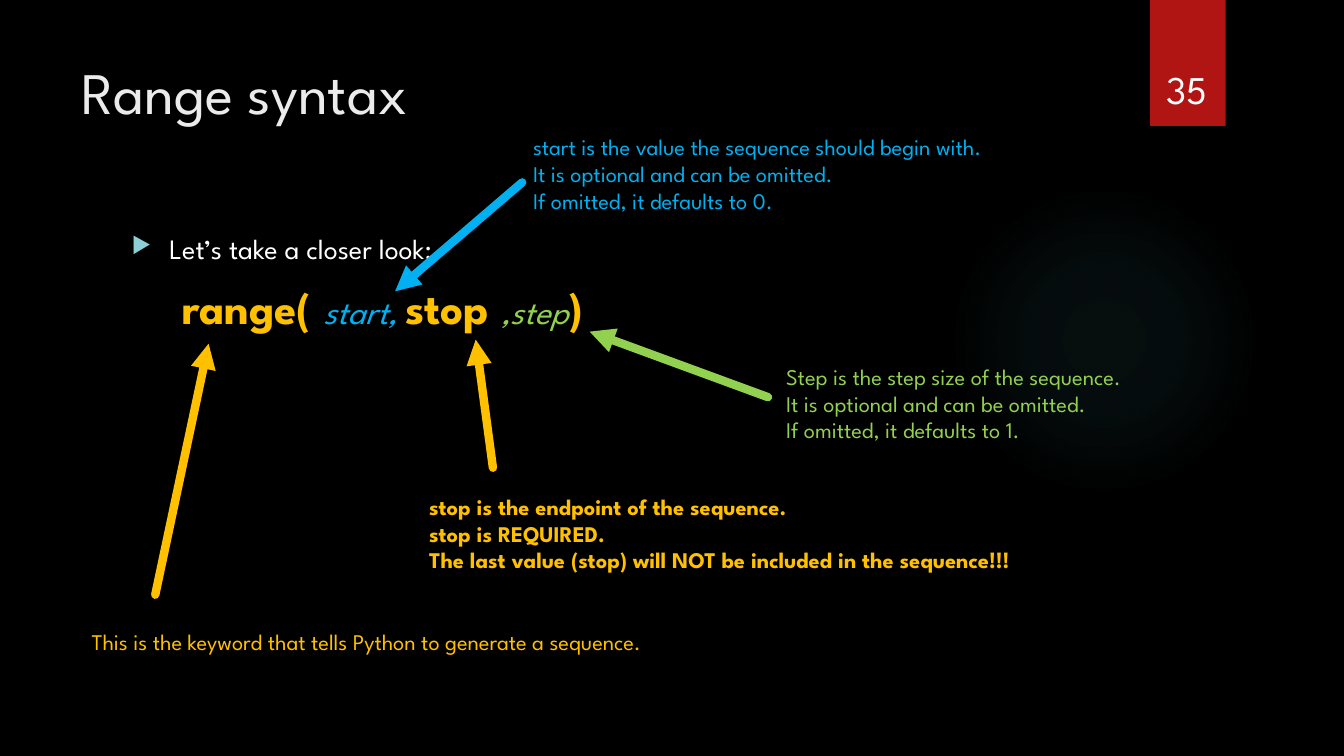
from lxml import etree
from pptx import Presentation
from pptx.dml.color import RGBColor
from pptx.enum import shapes, text
from pptx.oxml import ns, parse_xml
from pptx.util import Pt

FONT = "League Spartan"
HEX = {"black": "000000", "red": "B01513", "teal": "50B9C1", "mint": "8AD0D6",
       "pale": "EBEBEB", "white": "FFFFFF", "gold": "FFC000",
       "blue": "00B0F0", "green": "92D050"}
NS = 'xmlns:a="http://schemas.openxmlformats.org/drawingml/2006/main"'


def rgb(name):
    return RGBColor.from_string(HEX[name])


def style(font, size, color, bold=False, italic=False):
    font.name, font.size = FONT, Pt(size)
    font.bold, font.italic = bold, italic
    font.color.rgb = rgb(color)


def label(slide, box, lines, size, color, bold=False):
    """Add a wrapped text box with one paragraph per line; return its frame."""
    frame = slide.shapes.add_textbox(*map(Pt, box)).text_frame
    frame.word_wrap = True
    for i, line in enumerate(lines):
        par = frame.add_paragraph() if i else frame.paragraphs[0]
        par.text = line
        style(par.font, size, color, bold)
    return frame


def plain(slide, kind, box):
    shape = slide.shapes.add_shape(kind, *map(Pt, box))
    shape.shadow.inherit = False
    shape.line.fill.background()
    return shape


def glow(slide, box):
    """Add a faint round light that fades out towards its edge."""
    shape = plain(slide, shapes.MSO_SHAPE.OVAL, box)
    stops = "".join(
        f'<a:gs pos="{pos}000"><a:srgbClr val="{HEX["teal"]}">'
        f'<a:alpha val="{alpha}000"/></a:srgbClr></a:gs>'
        for pos, alpha in ((0, 7), (36, 6), (69, 0)))
    fill = parse_xml(
        f'<a:gradFill {NS}><a:gsLst>{stops}</a:gsLst><a:path path="circle">'
        '<a:fillToRect l="50000" t="50000" r="50000" b="50000"/>'
        '</a:path></a:gradFill>')
    shape.element.spPr.find(ns.qn("a:prstGeom")).addnext(fill)


def badge(slide, box, number):
    """Add the red page tab with its number near the lower edge."""
    left, top, width, height = box
    tab = plain(slide, shapes.MSO_SHAPE.RECTANGLE, box)
    tab.fill.solid()
    tab.fill.fore_color.rgb = rgb("red")
    area = (left - 6.5, top + 23, width + 12, height - 29.5)
    frame = label(slide, area, [number], 28, "white")
    frame.vertical_anchor = text.MSO_ANCHOR.BOTTOM
    frame.paragraphs[0].alignment = text.PP_ALIGN.CENTER


def syntax(slide, box):
    """Add the bulleted lead-in and the coloured call below it."""
    frame = label(slide, box, ["Let’s take a closer look:"], 20, "white")
    lead = frame.paragraphs[0]
    call = frame.add_paragraph()
    lead.space_before = call.space_before = Pt(10)
    props = lead._p.get_or_add_pPr()
    props.set("marL", str(Pt(27)))
    props.set("indent", str(-Pt(27)))
    for bit in (f'<a:buClr {NS}><a:srgbClr val="{HEX["mint"]}"/></a:buClr>',
                f'<a:buSzPct {NS} val="80000"/>',
                f'<a:buChar {NS} char="▶"/>'):
        mark = parse_xml(bit)
        props.insert_element_before(mark, "a:tabLst", "a:defRPr", "a:extLst")
    call._p.get_or_add_pPr().set("marL", str(Pt(36)))
    for word, color, main in (("range( ", "gold", True),
                              ("start, ", "blue", False),
                              ("stop ", "gold", True),
                              (",step", "green", False),
                              (")", "gold", True)):
        run = call.add_run()
        run.text = word
        style(run.font, 32 if main else 24, color, main, not main)


def arrow(slide, start, end, color):
    line = slide.shapes.add_connector(
        shapes.MSO_CONNECTOR.STRAIGHT, *map(Pt, start + end))
    line.line.width = Pt(6)
    line.line.color.rgb = rgb(color)
    stroke = line.line._get_or_add_ln()
    stroke.set("cap", "rnd")
    etree.SubElement(stroke, ns.qn("a:tailEnd"), type="triangle")
    etree.SubElement(line.element.spPr, ns.qn("a:effectLst"))


def note(slide, box, lines, color, start, end, bold=False):
    """Add an explanation and the arrow from it to a part of the call."""
    arrow(slide, start, end, color)
    label(slide, box, lines, 16, color, bold)


def build(slide):
    slide.background.fill.solid()
    slide.background.fill.fore_color.rgb = rgb("black")
    glow(slide, (677.5, 131.8, 221.8, 221.8))
    badge(slide, (821.5, 0, 54, 90), "35")
    label(slide, (51, 36, 741, 110), ["Range syntax"], 42, "pale")
    syntax(slide, (87, 162, 704, 330))
    option = "It is optional and can be omitted."
    note(slide, (58.3, 445, 482, 26.6),
         ["This is the keyword that tells Python to generate a sequence."],
         "gold", (110.9, 424.8), (149, 245.5))
    note(slide, (373.7, 91.4, 401, 65.5),
         ["start is the value the sequence should begin with.",
          option, "If omitted, it defaults to 0."],
         "blue", (373, 130.3), (282.2, 208.1))
    note(slide, (554.4, 255.6, 327, 65.5),
         ["Step is the step size of the sequence.",
          option, "If omitted, it defaults to 1."],
         "green", (548.6, 283.7), (421.2, 236.9))
    note(slide, (299.5, 348.5, 481, 65.5),
         ["stop is the endpoint of the sequence.", "stop is REQUIRED.",
          "The last value (stop) will NOT be included in the sequence!!!"],
         "gold", (352.1, 334.1), (339.8, 242.6), bold=True)


def main():
    deck = Presentation()
    deck.slide_width, deck.slide_height = Pt(960), Pt(540)
    build(deck.slides.add_slide(deck.slide_layouts[6]))
    deck.save("out.pptx")


if __name__ == "__main__":
    main()
